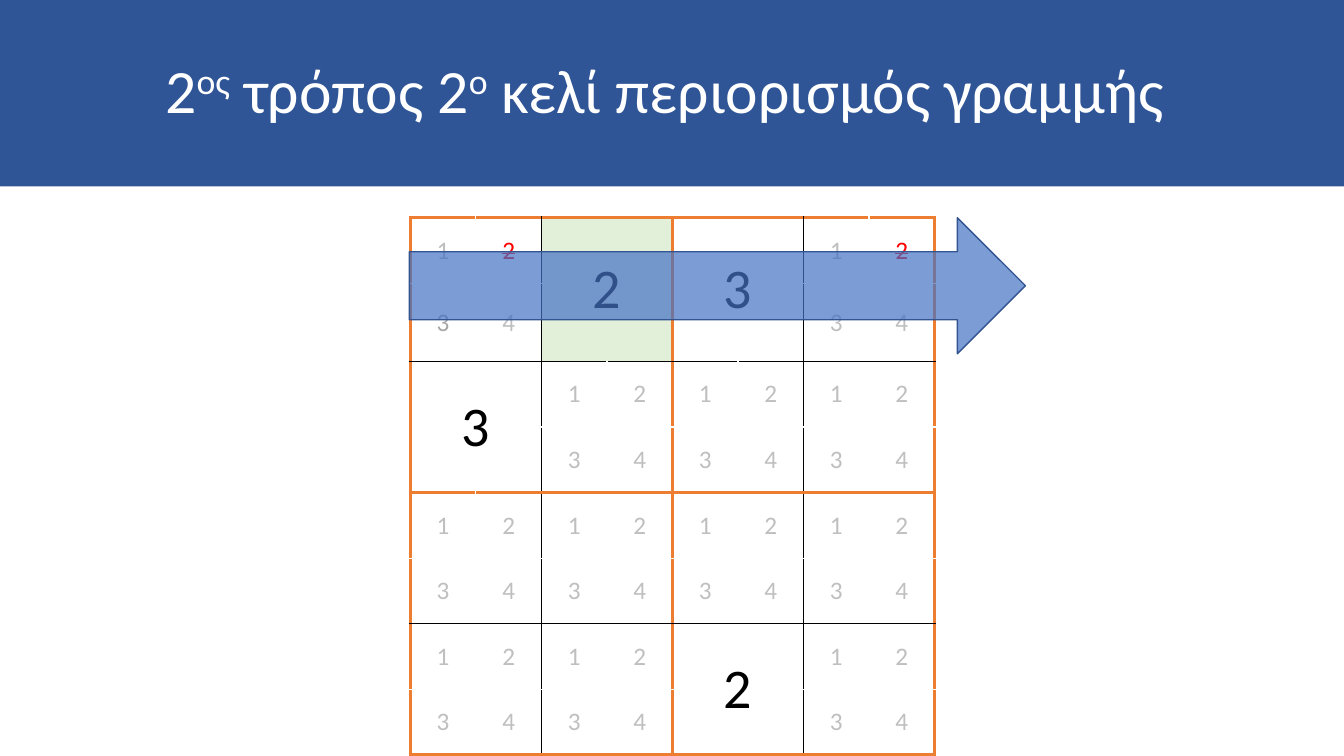
from lxml import etree
from pptx import Presentation
from pptx import util as u
from pptx.dml.color import RGBColor
from pptx.enum import shapes, text
from pptx.oxml.ns import qn

WIDTH, HEIGHT = 13.33, 7.5
WHITE, BLACK, ORANGE, GREY, RED = "FFFFFF", "000000", "ED7D31", "BFBFBF", "FF0000"
SOLVED = {(0, 2): "2", (0, 4): "3", (2, 0): "3", (6, 4): "2"}
STRUCK = {(0, 1), (0, 7)}
HIGHLIGHTS = {(0, 2): "E2F0D9"}
SHADES = {(1, 0): "A6A6A6"}
NO_STYLE = "{2D5ABB26-0587-4C30-8999-92F81FD0307C}"


def rgb(value):
    return RGBColor.from_string(value)


def edge(index):
    if index % 2:
        return WHITE, 1
    return (BLACK, 1) if index % 4 else (ORANGE, 2.25)


class Deck:
    font = "Calibri"

    def __init__(self):
        self.prs = Presentation()
        self.prs.slide_width = u.Inches(WIDTH)
        self.prs.slide_height = u.Inches(HEIGHT)
        self.s = self.prs.slides.add_slide(self.prs.slide_layouts[6])

    def box(self, x, y, w, h):
        return [u.Inches(share * side / 100)
                for share, side in zip((x, y, w, h), (WIDTH, HEIGHT) * 2)]

    def run(self, p, content, size, color, **attributes):
        p.alignment = text.PP_ALIGN.CENTER
        r = p.add_run()
        r.text = content
        r.font.name, r.font.size = self.font, u.Pt(size)
        r.font.color.rgb = rgb(color)
        for name, value in attributes.items():
            r.font._element.set(name, value)

    def shape(self, kind, area, fill, line=None, opacity=100):
        sp = self.s.shapes.add_shape(kind, *self.box(*area))
        sp.shadow.inherit = False
        sp.fill.solid()
        sp.fill.fore_color.rgb = rgb(fill)
        if opacity < 100:
            color = sp.fill._xPr.find(qn("a:solidFill"))[0]
            etree.SubElement(color, qn("a:alpha"), val=str(opacity * 1000))
        if line:
            sp.line.color.rgb = rgb(line)
            sp.line.width = u.Pt(1)
        else:
            sp.line.fill.background()
        return sp

    def title(self, area, fill, runs):
        tf = self.shape(shapes.MSO_SHAPE.RECTANGLE, area, fill).text_frame
        tf.word_wrap = True
        tf.vertical_anchor = text.MSO_ANCHOR.MIDDLE
        p = tf.paragraphs[0]
        p.line_spacing = 0.9
        for content, baseline in runs:
            self.run(p, content, 44, WHITE, baseline=str(baseline * 1000))

    def borders(self, cell, edges):
        tcPr = cell._tc.get_or_add_tcPr()
        for side, index in edges:
            color, width = edge(index)
            ln = etree.SubElement(tcPr, qn(f"a:ln{side}"), w=str(u.Pt(width)))
            fill = etree.SubElement(ln, qn("a:solidFill"))
            etree.SubElement(fill, qn("a:srgbClr"), val=color)

    def cell(self, table, row, col):
        cell, key = table.cell(row, col), (row, col)
        step = 2 if key in SOLVED else 1
        edges = [("L", col), ("R", col + step), ("T", row), ("B", row + step)]
        if cell.is_spanned:
            edges = [(side, i) for side, i in edges if i % 2 == 0]
        self.borders(cell, edges)
        cell.vertical_anchor = text.MSO_ANCHOR.MIDDLE
        if key in HIGHLIGHTS:
            cell.fill.solid()
            cell.fill.fore_color.rgb = rgb(HIGHLIGHTS[key])
        else:
            cell.fill.background()
        p = cell.text_frame.paragraphs[0]
        if key in SOLVED:
            self.run(p, SOLVED[key], 40, BLACK)
        elif key in STRUCK:
            self.run(p, "2", 18, RED, strike="sngStrike")
        elif not cell.is_spanned:
            candidate = str(row % 2 * 2 + col % 2 + 1)
            self.run(p, candidate, 18, SHADES.get(key, GREY))

    def board(self, area, size=8):
        frame = self.s.shapes.add_table(size, size, *self.box(*area))
        table = frame.table
        table.first_row = table.horz_banding = False
        table._tbl.tblPr.find(qn("a:tableStyleId")).text = NO_STYLE
        for line in table.columns:
            line.width = u.Inches(0.65)
        for index, line in enumerate(table.rows):
            line.height = u.Inches(0.77 if index == 1 else 0.65)
        for row, col in SOLVED:
            table.cell(row, col).merge(table.cell(row + 1, col + 1))
        for row in range(size):
            for col in range(size):
                self.cell(table, row, col)


def main():
    deck = Deck()
    deck.title((0, 0, 100, 24.67), "2F5597", [
        ("2", 0), ("ος", 30), (" τρόπος 2", 0), ("ο", 30),
        (" κελί περιορισμός γραμμής ", 0)])
    deck.board((30.53, 28.8, 39.01, 69.33))
    deck.shape(shapes.MSO_SHAPE.RIGHT_ARROW, (30.46, 28.8, 45.84, 18),
               "4472C4", "325491", 70)
    deck.prs.save("out.pptx")


if __name__ == "__main__":
    main()
